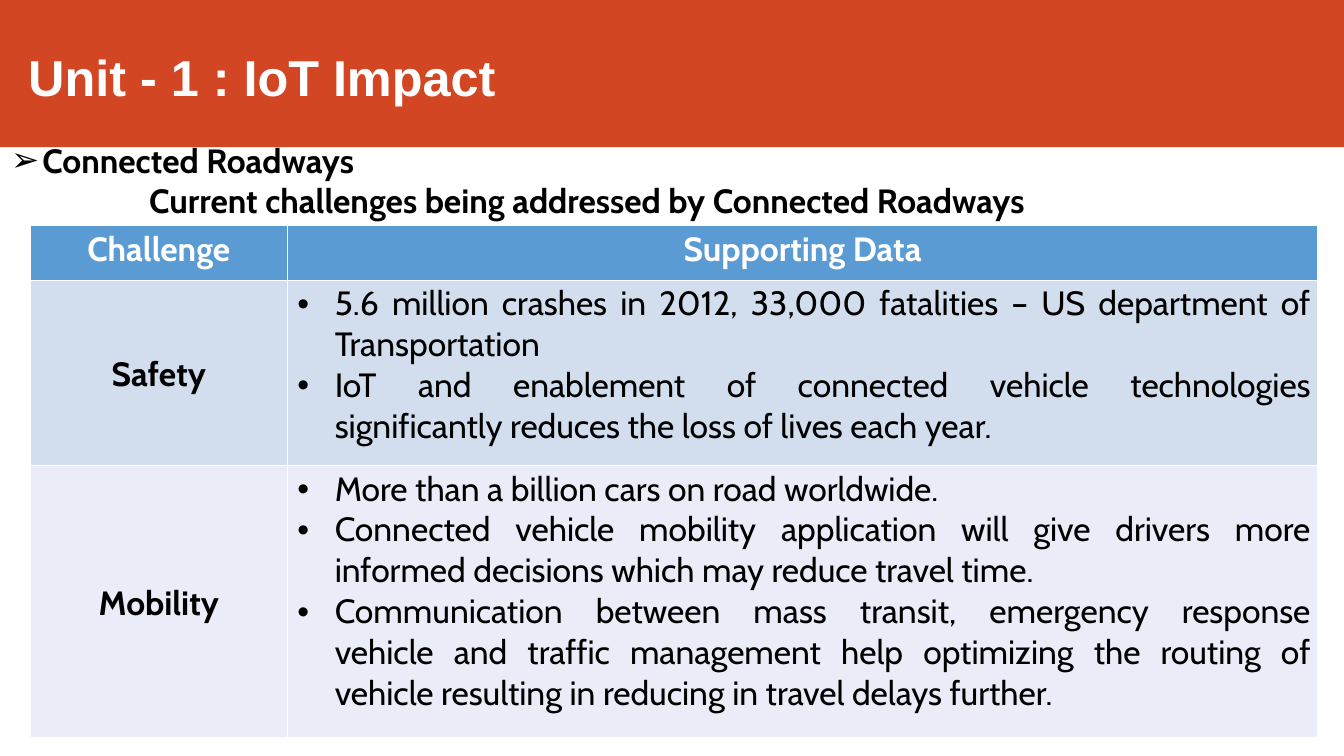
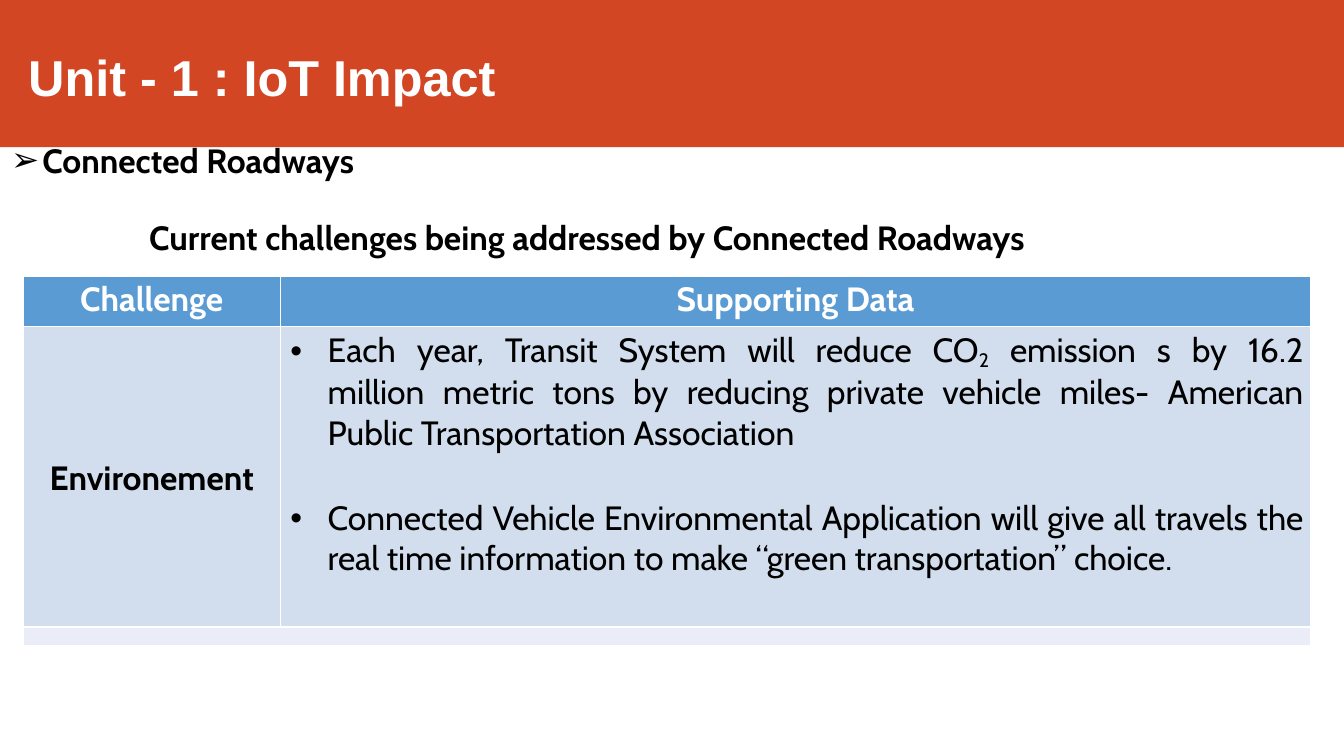
from lxml import etree
from pptx import Presentation
from pptx import util as u
from pptx.dml.color import RGBColor
from pptx.enum import shapes, text
from pptx.oxml import ns

BAND, HEADER, ROW_FILLS = "D24624", "5B9BD3", ["D2DEED", "EAEDF7"]
WHITE, BLACK = "FFFFFF", "000000"
COLUMNS = [2.55, 10.22]


def add_text(para, words, color, bold=False, size=24, font="Cabin"):
    """Add one run per piece of words; a piece between bars is a subscript."""
    for index, piece in enumerate(words.split("|")):
        span = para.add_run()
        span.text = piece
        span.font.name, span.font.size, span.font.bold = font, u.Pt(size), bold
        span.font.color.rgb = RGBColor.from_string(color)
        if index % 2:
            span.font._element.set("baseline", "-17000")


def set_bullet(para, mark, margin, hang):
    props = para._p.get_or_add_pPr()
    props.set("marL", str(u.Inches(margin)))
    props.set("indent", str(-u.Inches(hang)))
    etree.SubElement(props, ns.qn("a:buFont"), typeface="Arial")
    etree.SubElement(props, ns.qn("a:buChar"), char=mark)


# A bullet is its space before in points, then its lines.
pages = [
    {
        "heading_gap": 0, "left": 0.3, "top": 2.24, "heights": [0.54, 1.84, 2.7],
        "challenges": [
            ("Safety", [
                (2.5, ["5.6 million crashes in 2012, 33,000 fatalities – US department of",
                       "Transportation"]),
                (0, ["IoT and enablement of connected vehicle technologies",
                     "significantly reduces the loss of lives each year."]),
            ]),
            ("Mobility", [
                (2.5, ["More than a billion cars on road worldwide."]),
                (0, ["Connected vehicle mobility application will give drivers more",
                     "informed decisions which may reduce travel time."]),
                (0, ["Communication between mass transit, emergency response",
                     "vehicle and traffic management help optimizing the routing of",
                     "vehicle resulting in reducing in travel delays further."]),
            ]),
        ],
    },
    {
        "heading_gap": 25.8, "left": 0.23, "top": 2.74, "heights": [0.5, 2.98, 0.18],
        "challenges": [
            ("Environement", [
                (2.5, ["Each year, Transit System will reduce CO|2| emission s by 16.2",
                       "million metric tons by reducing private vehicle miles- American",
                       "Public Transportation Association"]),
                (31, ["Connected Vehicle Environmental Application will give all travels the",
                      "real time information to make “green transportation” choice."]),
            ]),
        ],
    },
]

deck = Presentation()
deck.slide_width, deck.slide_height = u.Inches(13.33), u.Inches(7.5)

for content in pages:
    page = deck.slides.add_slide(deck.slide_layouts[6])

    band = page.shapes.add_shape(shapes.MSO_SHAPE.RECTANGLE, 0, 0, deck.slide_width, u.Inches(1.46))
    band.shadow.inherit = False
    band.fill.solid()
    band.fill.fore_color.rgb = RGBColor.from_string(BAND)
    band.line.fill.background()

    frames = []
    for left, top, width, height in [(0.28, 0.45, 12.55, 0.63), (0.09, 1.38, 10.83, 0.83)]:
        box = page.shapes.add_textbox(*map(u.Inches, (left, top, width, height)))
        frame = box.text_frame
        frame.word_wrap = True
        frame.margin_left = frame.margin_right = frame.margin_bottom = 0
        frame.margin_top = u.Inches(0.01)
        frame.paragraphs[0].space_before = u.Pt(1)
        frames.append(frame)
    title, intro = frames
    add_text(title.paragraphs[0], "Unit - 1 : IoT Impact", WHITE, True, 36, "Arial")
    set_bullet(intro.paragraphs[0], "➢", 0.33, 0.31)
    add_text(intro.paragraphs[0], "Connected Roadways", BLACK, True)
    heading = intro.add_paragraph()
    heading.space_before = u.Pt(content["heading_gap"])
    heading._p.get_or_add_pPr().set("marL", str(u.Inches(1.39)))
    add_text(heading, "Current challenges being addressed by Connected Roadways", BLACK, True)

    heights = content["heights"]
    table = page.shapes.add_table(
        len(heights), len(COLUMNS), u.Inches(content["left"]), u.Inches(content["top"]),
        u.Inches(sum(COLUMNS)), u.Inches(sum(heights))).table
    for column, width in zip(table.columns, COLUMNS):
        column.width = u.Inches(width)
    for index, (row, height) in enumerate(zip(table.rows, heights)):
        row.height = u.Inches(height)
        for cell in row.cells:
            cell.fill.solid()
            cell.fill.fore_color.rgb = RGBColor.from_string(
                ROW_FILLS[(index - 1) % 2] if index else HEADER)
            cell.margin_left = cell.margin_right = cell.margin_bottom = 0
            cell.margin_top = u.Inches(0.03)

    for cell, label in zip(table.rows[0].cells, ["Challenge", "Supporting Data"]):
        para = cell.text_frame.paragraphs[0]
        para.alignment = text.PP_ALIGN.CENTER
        para.space_before = u.Pt(2.4)
        add_text(para, label, WHITE, True)

    for index, (challenge, bullets) in enumerate(content["challenges"], 1):
        label, data = table.rows[index].cells
        label.vertical_anchor = text.MSO_ANCHOR.MIDDLE
        para = label.text_frame.paragraphs[0]
        para.alignment = text.PP_ALIGN.CENTER
        add_text(para, challenge, BLACK, True)

        data.margin_right = u.Inches(0.07)
        for number, (gap, lines) in enumerate(bullets):
            frame = data.text_frame
            para = frame.add_paragraph() if number else frame.paragraphs[0]
            para.alignment = text.PP_ALIGN.JUSTIFY
            para.space_before = u.Pt(gap)
            set_bullet(para, "•", 0.47, 0.37)
            for position, line in enumerate(lines):
                if position:
                    para.add_line_break()
                add_text(para, line, BLACK)

    # Rows left without a challenge become one thin empty strip.
    for index in range(len(content["challenges"]) + 1, len(heights)):
        for cell in table.rows[index].cells:
            etree.SubElement(cell.text_frame.paragraphs[0]._p, ns.qn("a:endParaRPr"), sz="800")
        table.cell(index, 0).merge(table.cell(index, 1))

deck.save("out.pptx")
